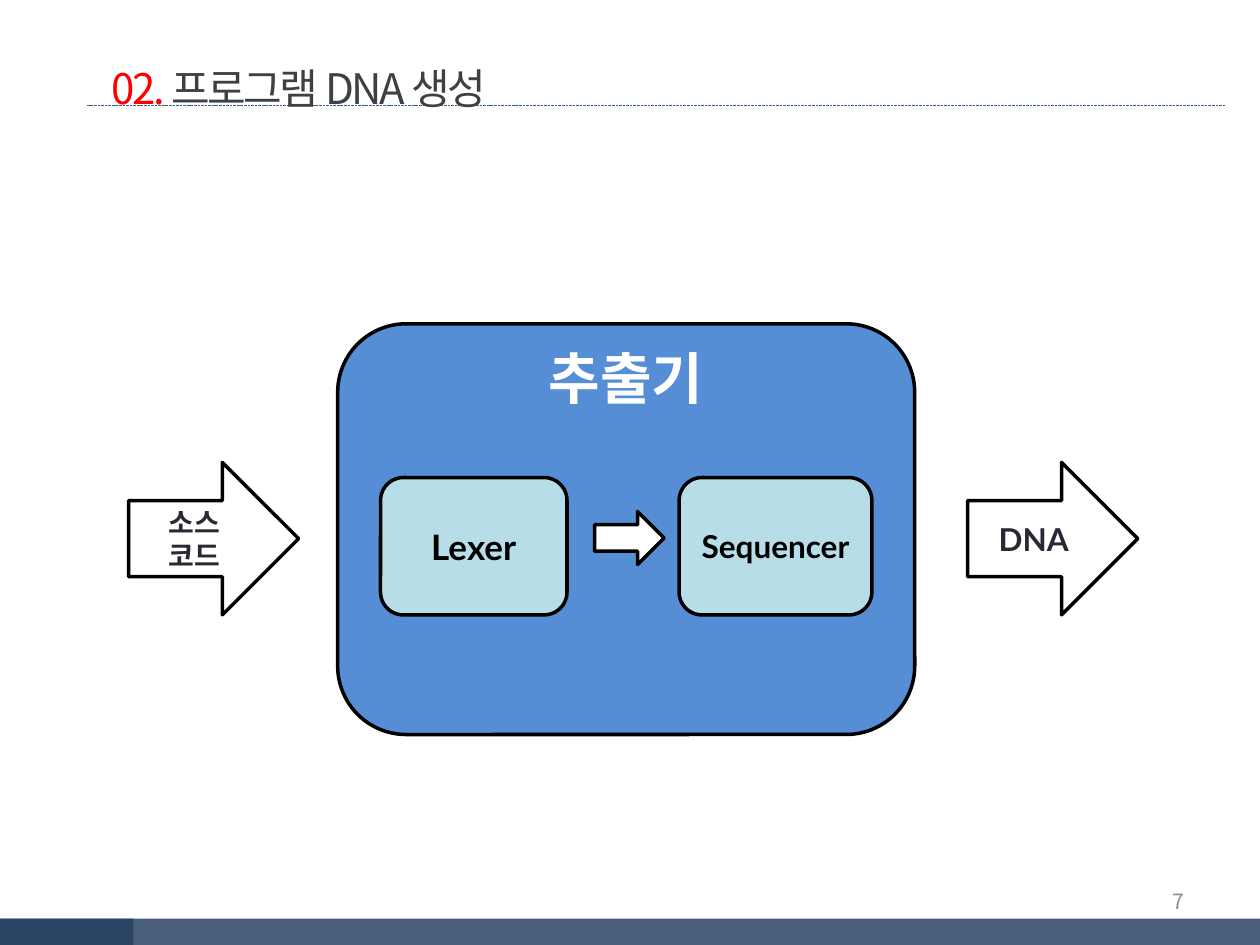
"""Build the slide on generating program DNA with an extractor."""
from lxml.etree import SubElement
from pptx import Presentation
from pptx.dml.color import RGBColor
from pptx.enum.dml import MSO_LINE
from pptx.enum.shapes import MSO_CONNECTOR, MSO_SHAPE
from pptx.enum.text import MSO_ANCHOR, MSO_AUTO_SIZE, PP_ALIGN
from pptx.oxml.ns import qn
from pptx.util import Inches, Pt

WHITE = RGBColor(0xFF, 0xFF, 0xFF)
BLACK = RGBColor(0, 0, 0)
RED = RGBColor(0xFF, 0, 0)
CHARCOAL = RGBColor(0x40, 0x40, 0x40)
INK = RGBColor(0x29, 0x29, 0x34)
GREY = RGBColor(0x8C, 0x8C, 0x8C)
NAVY = RGBColor(0x25, 0x40, 0x61)
RULE_BLUE = RGBColor(0x37, 0x60, 0x92)
BLUE = RGBColor(0x55, 0x8E, 0xD5)
PALE_BLUE = RGBColor(0xB7, 0xDE, 0xE8)
LATIN, KOREAN = "Lato", "Noto Sans CJK KR"

TITLE = [("02. ", RED), ("프로그램 DNA 생성", CHARCOAL)]
FOOTER_WIDTHS = [10, 1.06]
ROUND, ARROW = MSO_SHAPE.ROUNDED_RECTANGLE, MSO_SHAPE.RIGHT_ARROW
STAGES = [
    (ROUND, (2.68, 2.57, 4.58, 3.26), BLUE, "추출기", 32, WHITE, MSO_ANCHOR.TOP),
    (ARROW, (1.02, 3.67, 1.35, 1.21), WHITE, "소스 코드", 16, INK, MSO_ANCHOR.MIDDLE),
    (ARROW, (7.68, 3.67, 1.35, 1.21), WHITE, "DNA", 18, INK, MSO_ANCHOR.MIDDLE),
    (ROUND, (3.02, 3.79, 1.48, 1.09), PALE_BLUE, "Lexer", 20, BLACK, MSO_ANCHOR.MIDDLE),
    (ROUND, (5.39, 3.79, 1.53, 1.09), PALE_BLUE, "Sequencer", 18, BLACK, MSO_ANCHOR.MIDDLE),
    (ARROW, (4.72, 4.06, 0.55, 0.42), WHITE, "", 18, BLACK, MSO_ANCHOR.MIDDLE),
]


def apply_format(target, values):
    for name, value in values.items():
        setattr(target, name, value)


def add_run(paragraph, text, color, size, latin=KOREAN, bold=False):
    run = paragraph.add_run()
    run.text = text
    apply_format(run.font, {"size": Pt(size), "name": latin, "bold": bold})
    run.font.color.rgb = color
    SubElement(run.font._element, qn("a:ea"), typeface=KOREAN)
    return run


def add_block(slide, kind, box, fill):
    block = slide.shapes.add_shape(kind, *map(Inches, box))
    block.shadow.inherit = False
    block.fill.solid()
    block.fill.fore_color.rgb = fill
    return block


def add_text_box(slide, box, frame_format, paragraph_format):
    frame = slide.shapes.add_textbox(*map(Inches, box)).text_frame
    apply_format(frame, {"word_wrap": True, **frame_format})
    apply_format(frame.paragraphs[0], paragraph_format)
    return frame.paragraphs[0]


def add_title(slide):
    rule = slide.shapes.add_connector(
        MSO_CONNECTOR.STRAIGHT, *map(Inches, (0.69, 0.84, 9.72, 0.84)))
    rule.line.color.rgb = RULE_BLUE
    apply_format(rule.line, {"width": Pt(0.5), "dash_style": MSO_LINE.SQUARE_DOT})
    SubElement(rule._element.spPr, qn("a:effectLst"))
    title = add_text_box(slide, (0.79, 0.25, 3.38, 0.64),
                         {"auto_size": MSO_AUTO_SIZE.SHAPE_TO_FIT_TEXT},
                         {"line_spacing": 1.5})
    for text, color in TITLE:
        properties = add_run(title, text, color, 24).font._element
        properties.set("spc", "-150")
        outline = SubElement(properties, qn("a:ln"), w=str(Pt(0.25)))
        properties.insert(0, outline)
        outline_fill = SubElement(outline, qn("a:solidFill"))
        SubElement(outline_fill, qn("a:srgbClr"), val="D9D9D9")


def add_footer(slide):
    for width in FOOTER_WIDTHS:
        bar = add_block(slide, MSO_SHAPE.RECTANGLE, (0, 7.29, width, 0.21), NAVY)
        bar.line.fill.background()
        color = bar._element.spPr.find(qn("a:solidFill")).find(qn("a:srgbClr"))
        SubElement(color, qn("a:alpha"), val="84000")
    number = add_text_box(slide, (7.17, 6.95, 2.33, 0.4),
                          {"vertical_anchor": MSO_ANCHOR.MIDDLE},
                          {"alignment": PP_ALIGN.RIGHT})
    add_run(number, "7", GREY, 12)


def add_stages(slide):
    for kind, box, fill, label, size, color, anchor in STAGES:
        stage = add_block(slide, kind, box, fill)
        stage.line.color.rgb = BLACK
        stage.line.width = Pt(2)
        if label:
            frame = stage.text_frame
            apply_format(frame, {"word_wrap": True, "vertical_anchor": anchor,
                                 "margin_top": 0, "margin_bottom": 0})
            frame.paragraphs[0].alignment = PP_ALIGN.CENTER
            add_run(frame.paragraphs[0], label, color, size, LATIN, True)


def main():
    deck = Presentation()
    apply_format(deck, {"slide_width": Inches(10), "slide_height": Inches(7.5)})
    slide = deck.slides.add_slide(deck.slide_layouts[6])
    add_title(slide)
    add_footer(slide)
    add_stages(slide)
    deck.save("out.pptx")


if __name__ == "__main__":
    main()
